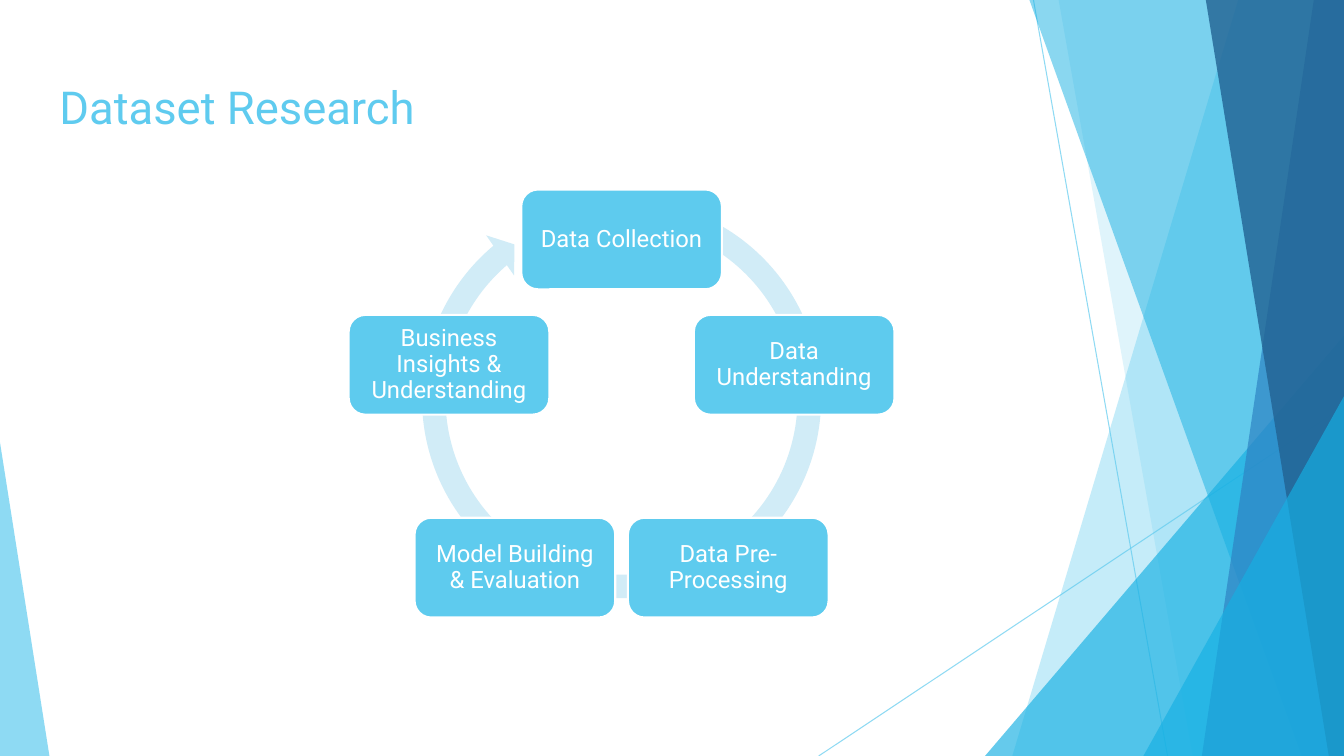
from dataclasses import dataclass
from math import cos, radians, sin

from lxml.etree import SubElement
from pptx import Presentation
from pptx.dml.color import RGBColor
from pptx.enum.shapes import MSO_CONNECTOR as Connector, MSO_SHAPE as Shape
from pptx.enum.text import MSO_ANCHOR as Anchor, PP_ALIGN as Align
from pptx.oxml.ns import qn
from pptx.util import Pt

EMU_PER_PX = 9144
SLIDE_W, SLIDE_H = 1333, 750


@dataclass(frozen=True)
class Theme:
    font: str = "Roboto"
    accent: str = "5FCBEF"
    bright: str = "16B0E3"
    blue: str = "2E83C3"
    navy: str = "226292"
    step: str = "5ECBEE"
    ring: str = "D1ECF7"
    white: str = "FFFFFF"
    title_size: float = 32.4
    step_size: float = 17


THEME = Theme()

STEPS = [
    "Data Collection",
    "Data Understanding",
    "Data Pre-Processing",
    "Model Building & Evaluation",
    "Business Insights & Understanding",
]


def px(length):
    return round(length * EMU_PER_PX)


def paint(color_format, color, opacity=100):
    color_format.rgb = RGBColor.from_string(color)
    if opacity < 100:
        srgb = color_format._xFill.find(qn("a:srgbClr"))
        SubElement(srgb, qn("a:alpha")).set("val", str(opacity * 1000))


def fill_plain(shape, color, opacity=100):
    shape.shadow.inherit = False
    shape.fill.solid()
    paint(shape.fill.fore_color, color, opacity)
    shape.line.fill.background()


def add_outline(slide, points, color, opacity):
    corners = [(px(x), px(y)) for x, y in points]
    builder = slide.shapes.build_freeform(*corners[0], scale=1.0)
    builder.add_line_segments(corners[1:], close=True)
    fill_plain(builder.convert_to_shape(), color, opacity)


def add_triangle(slide, box, apex, color, opacity):
    triangle = slide.shapes.add_shape(Shape.ISOSCELES_TRIANGLE, *map(px, box))
    triangle.adjustments[0] = apex
    fill_plain(triangle, color, opacity)


def add_ray(slide, start, end):
    ray = slide.shapes.add_connector(Connector.STRAIGHT, *map(px, start + end))
    ray.line.width = Pt(0.75)
    ray.line.fill.solid()
    paint(ray.line.fill.fore_color, THEME.accent, 70)
    SubElement(ray._element.spPr, qn("a:effectLst"))


def style_text(frame, color, size, align, inset):
    frame.word_wrap = True
    frame.margin_left = frame.margin_right = px(inset)
    frame.margin_top = frame.margin_bottom = px(inset)
    for paragraph in frame.paragraphs:
        paragraph.alignment = align
        for run in paragraph.runs:
            run.font.name = THEME.font
            run.font.size = Pt(size)
            run.font.color.rgb = RGBColor.from_string(color)


def draw_facets(slide, box):
    left, top, width, height = box
    right, bottom = left + width, top + height

    def band(top_x, bottom_x, color, opacity):
        points = [(left + top_x, top), (right, top), (right, bottom), (left + bottom_x, bottom)]
        add_outline(slide, points, color, opacity)

    def corner(corner_w, corner_h, color, opacity):
        corner_box = (right - corner_w, bottom - corner_h, corner_w, corner_h)
        add_triangle(slide, corner_box, 1, color, opacity)

    add_ray(slide, (left + 213, top), (left + 346, bottom))
    add_ray(slide, (right, top + 403), (left, bottom))
    band(416, 192, THEME.accent, 36)
    band(238, 371, THEME.accent, 20)
    corner(356, 417, THEME.bright, 66)
    band(209, 479, THEME.bright, 50)
    band(491, 380, THEME.blue, 70)
    band(384, 506, THEME.navy, 80)
    corner(199, 357, THEME.bright, 66)


def draw_ring(slide, box):
    ring = slide.shapes.add_shape(Shape.CIRCULAR_ARROW, *map(px, box))
    thickness, head_half = 0.0554, 0.0576
    head_sweep, end_angle, start_angle = (degrees * 0.6 for degrees in (5.51, 229.72, 289.68))
    for index, value in enumerate((thickness, head_sweep, end_angle, start_angle, head_half)):
        ring.adjustments[index] = value
    fill_plain(ring, THEME.ring)


def draw_cycle(slide, box):
    left, top, width, _ = box
    step_w, step_h, radius, ring_size = 199, 99, 180, 421
    center_x, center_y = left + width / 2, top + step_h / 2 + radius
    draw_ring(slide, (center_x - ring_size / 2, top - 3, ring_size, ring_size))
    for index, label in enumerate(STEPS):
        turn = radians(index * 360 / len(STEPS))
        x = center_x + radius * sin(turn) - step_w / 2
        y = center_y - radius * cos(turn) - step_h / 2
        step = slide.shapes.add_shape(Shape.ROUNDED_RECTANGLE, px(x), px(y), px(step_w), px(step_h))
        fill_plain(step, THEME.step)
        step.line.color.rgb = RGBColor.from_string(THEME.white)
        step.line.width = Pt(1.5)
        step.text_frame.text = label
        step.text_frame.vertical_anchor = Anchor.MIDDLE
        style_text(step.text_frame, THEME.white, THEME.step_size, Align.CENTER, 12)
        step.text_frame.paragraphs[0].line_spacing = 0.9


def draw_title(slide, box):
    title = slide.shapes.add_textbox(*map(px, box))
    title.text_frame.text = "Dataset Research"
    style_text(title.text_frame, THEME.accent, THEME.title_size, Align.LEFT, 13)


def main():
    deck = Presentation()
    deck.slide_width, deck.slide_height = px(SLIDE_W), px(SLIDE_H)
    slide = deck.slides.add_slide(deck.slide_layouts[6])
    draw_facets(slide, (812, 0, SLIDE_W - 812, SLIDE_H))
    add_triangle(slide, (0, 439, 49, 311), 0, THEME.accent, 70)
    draw_cycle(slide, (347, 188, 539, 424))
    draw_title(slide, (46, 66, 1242, 83))
    deck.save("out.pptx")


if __name__ == "__main__":
    main()
